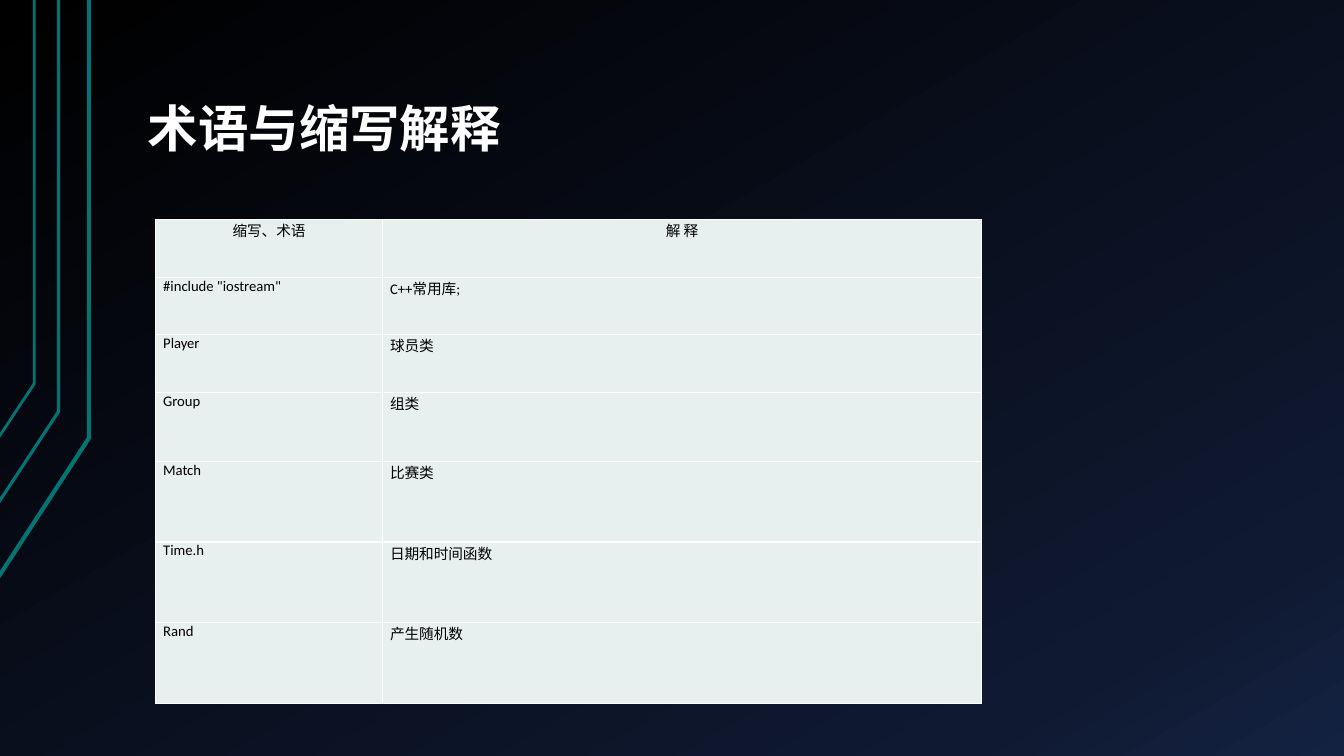
from copy import deepcopy

from pptx import Presentation
from pptx.dml.color import RGBColor
from pptx.enum.text import MSO_ANCHOR, PP_ALIGN
from pptx.oxml.ns import qn
from pptx.util import Pt
from lxml.etree import SubElement

TITLE = "术语与缩写解释"
ROWS = [
    ("缩写、术语", "解 释"),
    ('#include "iostream"', "C++常用库;"),
    ("Player", "球员类"),
    ("Group", "组类"),
    ("Match", "比赛类"),
    ("Time.h", "日期和时间函数"),
    ("Rand", "产生随机数"),
]
COL_WIDTHS = [162, 428]
ROW_HEIGHTS = [41.2] * 3 + [49.2] + [57.6] * 3
TABLE_LEFT, TABLE_TOP = 111.2, 156.8

COLORS = {"teal": "007373", "cell": "E7EFEF", "white": "FFFFFF", "black": "000000"}
BACKGROUND = [(0, "000000"), (0.85, "0F1931"), (1, "142242")]
LATIN, CJK = "Calibri", "Noto Sans CJK SC"

# Each bent line: x of the upright, y of the bend, y at the left edge, width
BENT_LINES = [(63.5, 313, 412, 3), (41.8, 294, 359, 2.25), (24.5, 274, 312.5, 2)]


def rgb(name):
    return RGBColor.from_string(COLORS[name])


def paint_background(s):
    fill = s.background.fill
    fill.gradient()
    fill.gradient_angle = 300
    stop_list = s.element.find(".//" + qn("a:gsLst"))
    stop_list.append(deepcopy(stop_list[-1]))
    for stop, (position, color) in zip(fill.gradient_stops, BACKGROUND):
        stop.position = position
        stop.color.rgb = RGBColor.from_string(color)


def add_bent_line(s, x, bend_y, edge_y, width):
    builder = s.shapes.build_freeform(Pt(-1), Pt(edge_y))
    builder.add_line_segments([(Pt(x), Pt(bend_y)), (Pt(x), 0)], close=False)
    sp = builder.convert_to_shape()
    sp.shadow.inherit = False
    sp.fill.background()
    sp.line.color.rgb = rgb("teal")
    sp.line.width = Pt(width)


def add_run(p, text, size, color, latin, bold=False):
    r = p.add_run()
    r.text = text
    r.font.size, r.font.bold, r.font.name = Pt(size), bold, latin
    r.font.color.rgb = rgb(color)
    SubElement(r.font._element, qn("a:ea"), typeface=CJK)


def add_borders(cell):
    tc_pr = cell._tc.get_or_add_tcPr()
    for i, side in enumerate(("a:lnL", "a:lnR", "a:lnT", "a:lnB")):
        line = tc_pr.makeelement(qn(side), {"w": str(Pt(1))})
        fill = SubElement(line, qn("a:solidFill"))
        SubElement(fill, qn("a:srgbClr"), val=COLORS["white"])
        tc_pr.insert(i, line)


def format_title(title):
    title.left, title.top, title.width, title.height = Pt(96), Pt(21.6), Pt(816), Pt(96.5)
    tf = title.text_frame
    tf.word_wrap = True
    tf.vertical_anchor = MSO_ANCHOR.BOTTOM
    tf.margin_left = tf.margin_right = Pt(9.6)
    tf.margin_top = tf.margin_bottom = Pt(4.8)
    p = tf.paragraphs[0]
    p.alignment = PP_ALIGN.LEFT
    p.line_spacing = 0.9
    add_run(p, TITLE, 36, "white", CJK, bold=True)


def add_terms_table(s):
    table = s.shapes.add_table(
        len(ROWS), len(COL_WIDTHS), Pt(TABLE_LEFT), Pt(TABLE_TOP),
        Pt(sum(COL_WIDTHS)), Pt(sum(ROW_HEIGHTS))).table
    for column, width in zip(table.columns, COL_WIDTHS):
        column.width = Pt(width)
    for i, (row, height, texts) in enumerate(zip(table.rows, ROW_HEIGHTS, ROWS)):
        row.height = Pt(height)
        for cell, text in zip(row.cells, texts):
            cell.fill.solid()
            cell.fill.fore_color.rgb = rgb("cell")
            add_borders(cell)
            cell.margin_left = cell.margin_right = Pt(5.4)
            cell.margin_top = cell.margin_bottom = 0
            p = cell.text_frame.paragraphs[0]
            p.alignment = PP_ALIGN.CENTER if i == 0 else PP_ALIGN.JUSTIFY
            add_run(p, text, 10.5, "black", LATIN)


def main():
    prs = Presentation()
    prs.slide_width, prs.slide_height = Pt(960), Pt(540)
    s = prs.slides.add_slide(prs.slide_layouts[5])
    paint_background(s)
    for bent_line in BENT_LINES:
        add_bent_line(s, *bent_line)
    format_title(s.shapes.title)
    add_terms_table(s)
    prs.save("out.pptx")


if __name__ == "__main__":
    main()
